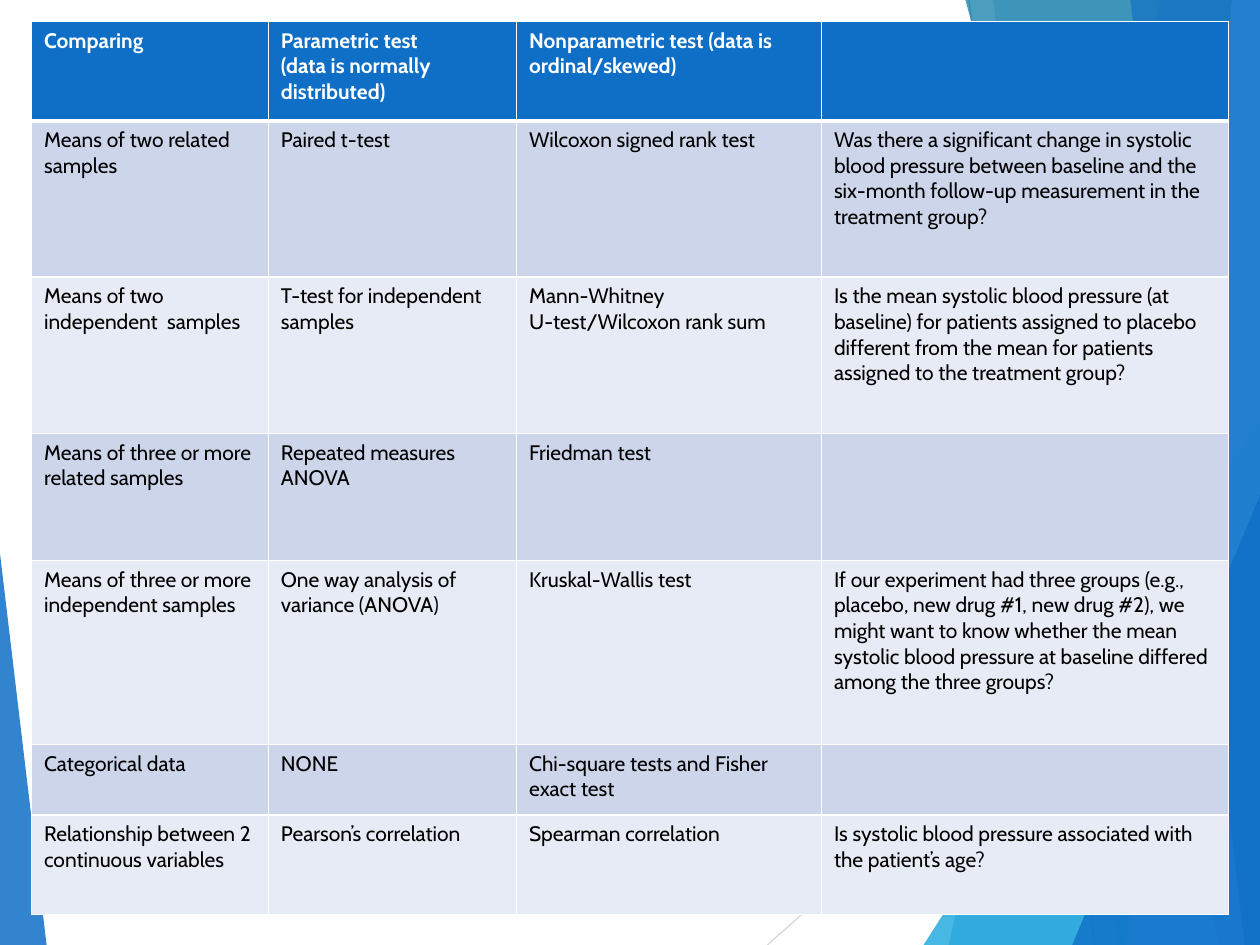
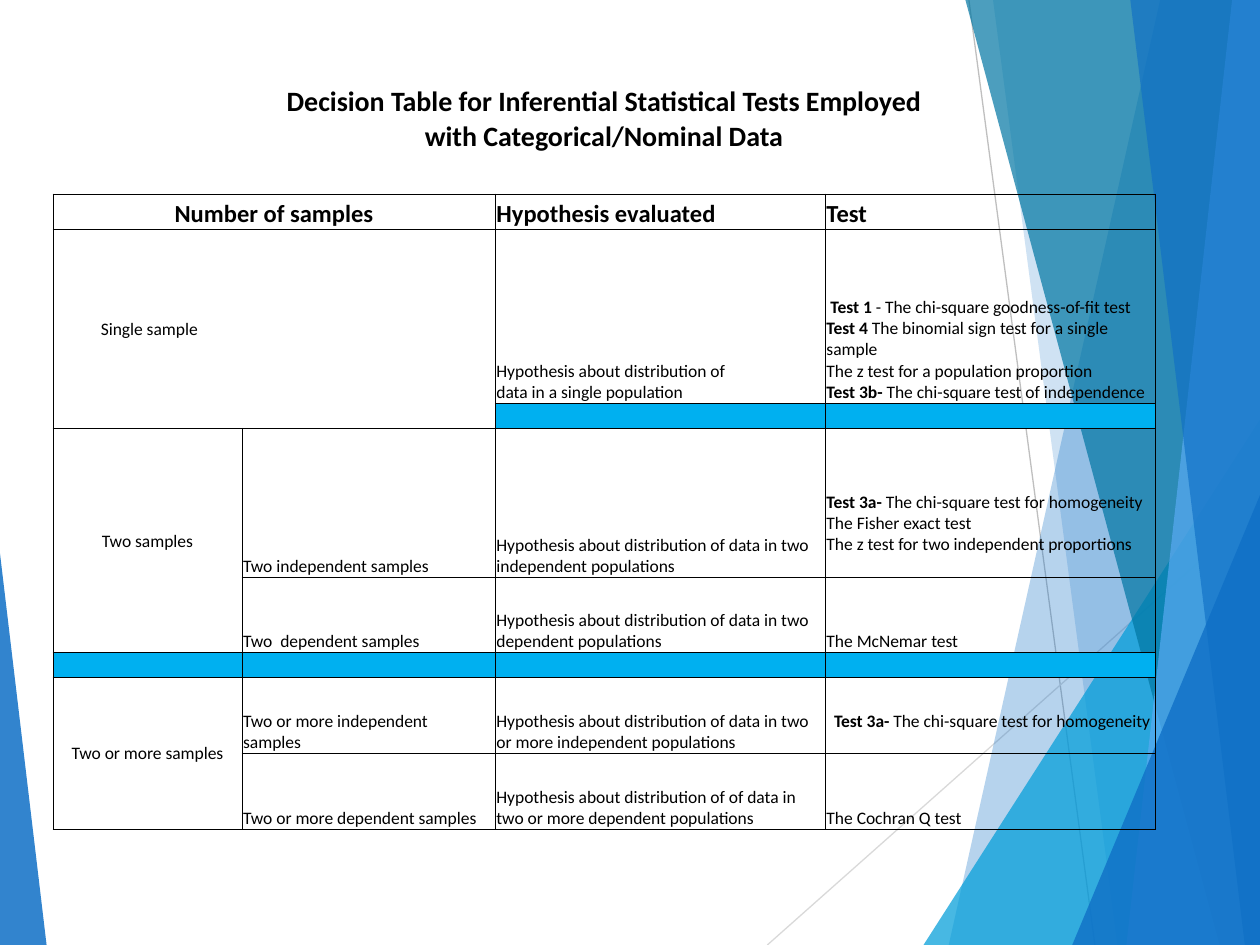
from lxml.etree import SubElement
from pptx import Presentation
from pptx.dml.color import RGBColor
from pptx.enum.shapes import MSO_CONNECTOR, MSO_SHAPE
from pptx.enum.text import MSO_ANCHOR as ANCHOR, PP_ALIGN as ALIGN
from pptx.oxml.ns import qn
from pptx.util import Inches, Pt

BLUE, SKY, TEAL, PALE_BLUE = "0F6FC6", "009DD9", "0076A3", "59AAF2"
BAND_DARK, BAND_LIGHT, SEPARATOR = "CCD5EA", "E7EBF5", "00B0F0"
WHITE, BLACK = "FFFFFF", "000000"
NO_TABLE_STYLE = "{2D5ABB26-0587-4C30-8999-92F81FD0307C}"

# In cell text, \n starts a paragraph, \v breaks a line and ** marks bold.
TEST_CHOICE = [
    ["**Comparing**", "**Parametric test**\n**(data is normally distributed)**",
     "**Nonparametric test (data is ordinal/skewed)**", ""],
    ["Means of two related samples", "Paired t-test", "Wilcoxon signed rank test",
     "Was there a significant change in systolic blood pressure between baseline "
     "and the six-month follow-up measurement in the treatment group?"],
    ["Means of two independent  samples", "T-test for independent samples",
     "Mann-Whitney U-test/Wilcoxon rank sum",
     "Is the mean systolic blood pressure (at baseline) for patients assigned to placebo "
     "different from the mean for patients assigned to the treatment group?"],
    ["Means of three or more related samples", "Repeated measures ANOVA", "Friedman test", ""],
    ["Means of three or more independent samples", "One way analysis of variance (ANOVA)",
     "Kruskal-Wallis test",
     "If our experiment had three groups (e.g., placebo, new drug #1, new drug #2), we might "
     "want to know whether the mean systolic blood pressure at baseline differed among the "
     "three groups?"],
    ["Categorical data", "NONE", "Chi-square tests and Fisher exact test", ""],
    ["Relationship between 2 continuous variables", "Pearson’s correlation",
     "Spearman correlation", "Is systolic blood pressure associated with the patient’s age?"],
]

DISTRIBUTION = "Hypothesis about distribution of"
DECISIONS = [
    ["**Decision Table for Inferential Statistical Tests Employed\v"
     "with Categorical/Nominal Data**", "", "", ""],
    ["", "", "", ""],
    ["**Number of samples**", "", "**Hypothesis evaluated**", "**Test**"],
    ["Single sample", "", f"{DISTRIBUTION}\vdata in a single population",
     " **Test 1 **- The chi-square goodness-of-fit test \v"
     "**Test 4 **The binomial sign test for a single sample \v"
     "The z test for a population proportion\v"
     "**Test 3b- **The chi-square test of independence"],
    ["", "", "", ""],
    ["Two samples", "Two independent samples",
     f"{DISTRIBUTION} data in two independent populations",
     "**Test 3a- **The chi-square test for homogeneity \vThe Fisher exact test\v"
     "The z test for two independent proportions"],
    ["", "Two  dependent samples", f"{DISTRIBUTION} data in two dependent populations",
     "The McNemar test"],
    ["", "", "", ""],
    ["Two or more samples", "Two or more independent\vsamples",
     f"{DISTRIBUTION} data in two or more independent populations",
     "**Test 3a- **The chi-square test for homogeneity"],
    ["", "Two or more dependent samples",
     f"{DISTRIBUTION} of data in two or more dependent populations", "The Cochran Q test"],
]


def rgb(color):
    return RGBColor.from_string(color)


# Backdrop shared by both slides
def fill_translucent(shape, color, opacity):
    shape.shadow.inherit = False
    shape.line.fill.background()
    shape.fill.solid()
    shape.fill.fore_color.rgb = rgb(color)
    color_element = shape.fill._xPr.find(qn("a:solidFill"))[0]
    SubElement(color_element, qn("a:alpha"), val=str(opacity * 1000))


def add_hairline(slide, start, end, color):
    line = slide.shapes.add_connector(
        MSO_CONNECTOR.STRAIGHT, *[Inches(value) for value in start + end])
    line.line.color.rgb = rgb(color)
    line.line.width = Pt(0.75)
    SubElement(line._element.spPr, qn("a:effectLst"))


def add_shard(slide, top_x, bottom_x, color, opacity):
    """Full-height panel from a slanted left edge to the slide's right edge."""
    top, bottom, right = Inches(-0.01), Inches(7.5), Inches(10)
    builder = slide.shapes.build_freeform(Inches(top_x), top)
    builder.add_line_segments([(right, top), (right, bottom), (Inches(bottom_x), bottom)])
    fill_translucent(builder.convert_to_shape(), color, opacity)


def add_corner(slide, left, top, width, apex, color, opacity):
    """Triangle standing on the slide's bottom edge."""
    triangle = slide.shapes.add_shape(
        MSO_SHAPE.ISOSCELES_TRIANGLE, Inches(left), Inches(top), Inches(width), Inches(7.5 - top))
    triangle.adjustments[0] = apex
    fill_translucent(triangle, color, opacity)


def add_backdrop(slide):
    add_hairline(slide, (7.69, 0), (8.69, 7.5), "BFBFBF")
    add_hairline(slide, (10, 4.03), (6.09, 7.5), "D9D9D9")
    add_shard(slide, 9.21, 7.53, BLUE, 30)
    add_shard(slide, 7.88, 8.87, BLUE, 20)
    add_corner(slide, 7.33, 3.33, 2.67, 1, SKY, 72)
    add_shard(slide, 7.66, 9.68, TEAL, 70)
    add_shard(slide, 9.78, 8.94, PALE_BLUE, 70)
    add_shard(slide, 8.97, 9.88, BLUE, 65)
    add_corner(slide, 8.51, 3.93, 1.49, 1, BLUE, 80)
    add_corner(slide, 0, 4.39, 0.37, 0, BLUE, 85)


# Tables
def add_plain_table(slide, left, top, widths, heights):
    frame = slide.shapes.add_table(
        len(heights), len(widths), Inches(left), Inches(top),
        Inches(sum(widths)), Inches(sum(heights)))
    table = frame.table
    table._tbl.tblPr.find(qn("a:tableStyleId")).text = NO_TABLE_STYLE
    table.horz_banding = False
    for column, width in zip(table.columns, widths):
        column.width = Inches(width)
    for row, height in zip(table.rows, heights):
        row.height = Inches(height)
    return table


def set_borders(cell, color, **widths):
    """Draw the sides named L, R, T, B; call before the cell's fill is set."""
    properties = cell._tc.get_or_add_tcPr()
    for side in "LRTB":
        if side in widths:
            line = SubElement(properties, qn(f"a:ln{side}"), w=str(Pt(widths[side])))
            SubElement(SubElement(line, qn("a:solidFill")), qn("a:srgbClr"), val=color)


def set_fill(cell, color):
    if color:
        cell.fill.solid()
        cell.fill.fore_color.rgb = rgb(color)
    else:
        cell.fill.background()


def write_cell(cell, text, font_name, size, color, align=ALIGN.LEFT):
    frame = cell.text_frame
    points = str(size * 100)
    for number, paragraph_text in enumerate(text.split("\n")):
        paragraph = frame.add_paragraph() if number else frame.paragraphs[0]
        paragraph.alignment = align
        for part_number, part in enumerate(paragraph_text.split("**")):
            for line_number, line in enumerate(part.split("\v")):
                if line_number:
                    paragraph.add_line_break()
                    SubElement(paragraph._p[-1], qn("a:rPr"), sz=points)
                if line:
                    run = paragraph.add_run()
                    run.text = line
                    run.font.name = font_name
                    run.font.size = Pt(size)
                    run.font.bold = part_number % 2 == 1
                    run.font.color.rgb = rgb(color)
        SubElement(paragraph._p, qn("a:endParaRPr"), sz=points)


def build_test_choice(slide):
    table = add_plain_table(slide, 0.25, 0.17, [1.88, 1.97, 2.42, 3.23],
                            [0.79, 1.24, 1.24, 1.01, 1.46, 0.56, 0.79])
    for row, texts in enumerate(TEST_CHOICE):
        header = row == 0
        band = BLUE if header else BAND_DARK if row % 2 else BAND_LIGHT
        for column, text in enumerate(texts):
            cell = table.cell(row, column)
            set_borders(cell, WHITE, L=1, R=1, T=3 if row == 1 else 1, B=3 if header else 1)
            set_fill(cell, band)
            write_cell(cell, text, "Cabin", 12, WHITE if header else BLACK)


def build_decisions(slide):
    table = add_plain_table(slide, 0.42, 0.58, [1.5, 2.01, 2.62, 2.62],
                            [0.64, 0.32, 0.28, 1.38, 0.2, 1.18, 0.6, 0.2, 0.6, 0.6])
    title_row, gap_row, header_row, single_row = range(4)
    separators = {(4, 2), (4, 3)} | {(7, column) for column in range(4)}
    sizes = {title_row: 16, header_row: 14}
    sample_groups = {(5, 0), (8, 0)}
    centred = {(title_row, 0), (header_row, 0)} | sample_groups

    for row, texts in enumerate(DECISIONS):
        for column, text in enumerate(texts):
            cell, place = table.cell(row, column), (row, column)
            if row >= header_row:
                set_borders(cell, BLACK, L=0.5, R=0.5, T=0.5, B=0.5)
            elif row == gap_row:
                set_borders(cell, BLACK, B=0.5)
            set_fill(cell, SEPARATOR if place in separators else None)
            cell.margin_left = cell.margin_right = cell.margin_top = Inches(0.01)
            cell.margin_bottom = 0
            cell.vertical_anchor = ANCHOR.BOTTOM
            write_cell(cell, text, "Calibri", sizes.get(row, 10), BLACK,
                       ALIGN.CENTER if place in centred else ALIGN.LEFT)

    # Exceptions to the bottom-left placing
    for place in sample_groups | {(single_row, 0)}:
        table.cell(*place).vertical_anchor = ANCHOR.MIDDLE
    table.cell(single_row, 0).margin_left = Inches(0.38)
    table.cell(8, 3).margin_left = Inches(0.07)
    for row in (5, 8):
        table.cell(row, 3).margin_bottom = Inches(0.17)

    # Merged areas, by first and last cell
    for first, last in [((0, 0), (0, 3)), ((2, 0), (2, 1)), ((3, 0), (4, 1)),
                        ((5, 0), (6, 0)), ((8, 0), (9, 0))]:
        table.cell(*first).merge(table.cell(*last))


def main():
    presentation = Presentation()
    presentation.slide_width, presentation.slide_height = Inches(10), Inches(7.5)
    blank_layout = presentation.slide_layouts[6]
    for build_content in (build_test_choice, build_decisions):
        slide = presentation.slides.add_slide(blank_layout)
        add_backdrop(slide)
        build_content(slide)
    presentation.save("out.pptx")


if __name__ == "__main__":
    main()
